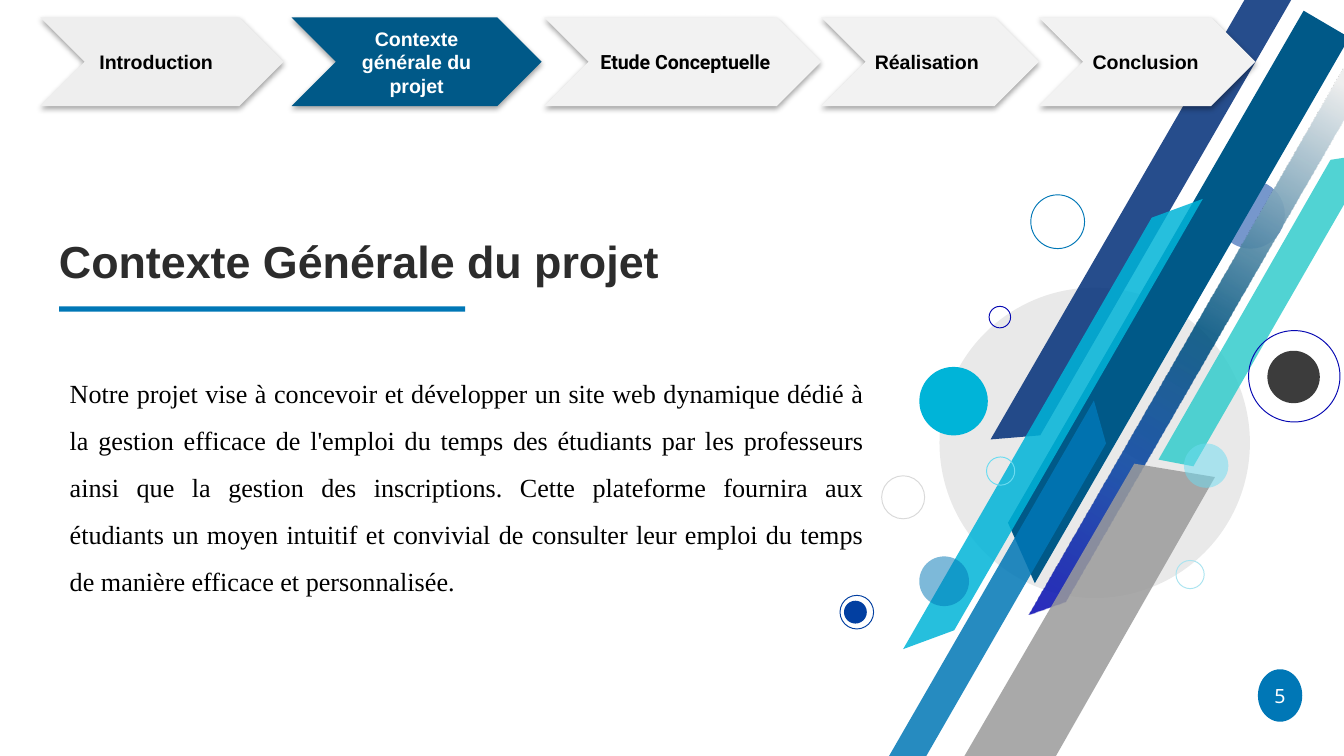
"""Build the project context slide with its chapter bar and slanted bands."""

from dataclasses import dataclass

from lxml.etree import SubElement
from pptx import Presentation
from pptx.dml.color import RGBColor
from pptx.enum.shapes import MSO_SHAPE
from pptx.enum.text import MSO_ANCHOR, PP_ALIGN
from pptx.oxml.ns import qn
from pptx.shapes.autoshape import Shape
from pptx.slide import Slide
from pptx.util import Pt

PX = 9144
WIDE = 1000 * PX
NAVY = RGBColor(0x02, 0x3F, 0xA1)
INK = RGBColor(0x06, 0x08, 0xB2)
DEEP = RGBColor(0x00, 0x59, 0x88)
BLUE = RGBColor(0x00, 0x77, 0xB6)
CYAN = RGBColor(0x00, 0xB4, 0xD8)
SKY = RGBColor(0x6C, 0xDC, 0xF1)
PALE = RGBColor(0xAA, 0xE4, 0xF0)
TEAL = RGBColor(0x33, 0xCC, 0xCC)
DUSK = RGBColor(0x01, 0x2F, 0x79)
PETROL = RGBColor(0x00, 0x53, 0x7F)
STONE = RGBColor(0x9B, 0x9B, 0x9B)
SLATE = RGBColor(0x59, 0x59, 0x59)
COAL = RGBColor(0x3C, 0x3C, 0x3C)
TITLE = RGBColor(0x2C, 0x2C, 0x2C)
SILVER = RGBColor(0xD9, 0xD9, 0xD9)
MIST = RGBColor(0xEE, 0xEE, 0xEE)
FOG = RGBColor(0xF2, 0xF2, 0xF2)
BLACK = RGBColor(0, 0, 0)
WHITE = RGBColor(255, 255, 255)

FADE = ((1, INK, 85), (27, NAVY, 85), (52, PETROL, 88), (96, MIST, 97))


@dataclass
class Dot:
    x: int
    y: int
    size: int
    color: RGBColor
    alpha: int = 100
    ring: bool = False


@dataclass
class Band:
    points: tuple[tuple[int, int], ...]
    color: RGBColor | None
    alpha: int = 85


@dataclass
class Step:
    x: int
    width: int
    label: str
    fill: RGBColor = FOG
    ink: RGBColor = BLACK
    align: PP_ALIGN = PP_ALIGN.LEFT
    inset: int = 7


@dataclass
class Style:
    size: float
    font: str
    color: RGBColor
    bold: bool = False
    align: PP_ALIGN = PP_ALIGN.LEFT
    space: float | None = None


ART = (
    Dot(905, 134, 51, NAVY, 54),
    Dot(699, 214, 231, SLATE, 13),
    Band(((1004, 28), (770, 434), (750, 389), (970, 8)), DEEP, 100),
    Band(((765, 457), (999, 51), (1016, 61), (793, 447)), None),
    Band(((1008, -82), (774, 324), (737, 327), (982, -97)), DUSK),
    Band(((1022, 114), (888, 347), (862, 342), (990, 119)), TEAL),
    Band(((904, 355), (774, 583), (715, 567), (844, 345)), STONE),
    Band(((823, 330), (601, 716), (580, 704), (814, 298)), BLUE),
    Dot(767, 145, 40, BLUE, ring=True),
    Dot(736, 228, 16, INK, ring=True),
    Dot(875, 417, 21, PALE, ring=True),
    Dot(684, 273, 51, CYAN),
    Dot(656, 354, 32, SILVER, ring=True),
    Dot(628, 447, 17, NAVY),
    Dot(943, 261, 39, COAL),
    Dot(881, 330, 33, SKY, 51),
    Band(((895, 148), (710, 469), (672, 483), (857, 162)), CYAN),
    Dot(684, 414, 37, BLUE, 51),
    Dot(734, 340, 21, SKY, ring=True),
    Dot(929, 246, 68, INK, ring=True),
    Dot(625, 443, 25, NAVY, ring=True),
)

STEPS = (
    Step(30, 181, "Introduction", MIST, inset=11),
    Step(217, 186, "Contexte générale du projet", DEEP, WHITE, PP_ALIGN.CENTER),
    Step(611, 162, "Réalisation"),
    Step(773, 161, "Conclusion"),
)

BODY = (
    "Notre projet vise à concevoir et développer un site web dynamique dédié à "
    "la gestion efficace de l'emploi du temps des étudiants par les professeurs "
    "ainsi que la gestion des inscriptions. Cette plateforme fournira aux "
    "étudiants un moyen intuitif et convivial de consulter leur emploi du temps "
    "de manière efficace et personnalisée."
)


def paint(shape: Shape, color: RGBColor, alpha: int = 100) -> None:
    shape.shadow.inherit = False
    shape.line.fill.background()
    shape.fill.solid()
    shape.fill.fore_color.rgb = color
    if alpha < 100:
        tint = shape._element.spPr.find(".//" + qn("a:srgbClr"))
        SubElement(tint, qn("a:alpha"), val=str(alpha * 1000))


def blend(shape: Shape) -> None:
    shape.shadow.inherit = False
    shape.line.fill.background()
    shape.fill.gradient()
    shape.fill.gradient_angle = 60
    stops = shape._element.spPr.find(".//" + qn("a:gsLst"))
    for stop in list(stops):
        stops.remove(stop)
    for place, color, alpha in FADE:
        stop = SubElement(stops, qn("a:gs"), pos=str(place * 1000))
        tint = SubElement(stop, qn("a:srgbClr"), val=str(color))
        SubElement(tint, qn("a:alpha"), val=str(alpha * 1000))


def shade(shape: Shape) -> None:
    group = shape._element.spPr.find(qn("a:effectLst"))
    cast = SubElement(group, qn("a:outerShdw"), blurRad=str(Pt(3.1)),
                      dist=str(Pt(1.6)), dir="5400000", algn="t", rotWithShape="0")
    tint = SubElement(cast, qn("a:srgbClr"), val=str(BLACK))
    SubElement(tint, qn("a:alpha"), val="37000")


def add(slide: Slide, kind: MSO_SHAPE, x: int, y: int, w: int, h: int) -> Shape:
    return slide.shapes.add_shape(kind, x * PX, y * PX, w * PX, h * PX)


def write(shape: Shape, text: str, style: Style, wrap: bool = True) -> None:
    frame = shape.text_frame
    frame.word_wrap = wrap
    frame.text = text
    line = frame.paragraphs[0]
    line.alignment = style.align
    line.line_spacing = style.space
    font = line.runs[0].font
    font.size = Pt(style.size)
    font.name = style.font
    font.bold = style.bold
    font.color.rgb = style.color


def pad(shape: Shape, left: int, top: int, right: int, base: int) -> None:
    frame = shape.text_frame
    frame.vertical_anchor = MSO_ANCHOR.MIDDLE
    frame.margin_left, frame.margin_top = left * PX, top * PX
    frame.margin_right, frame.margin_bottom = right * PX, base * PX


def box(slide: Slide, x: int, y: int, w: int, h: int, text: str, style: Style) -> Shape:
    shape = slide.shapes.add_textbox(x * PX, y * PX, w * PX, h * PX)
    write(shape, text, style)
    return shape


def draw_dot(slide: Slide, dot: Dot) -> None:
    shape = add(slide, MSO_SHAPE.OVAL, dot.x, dot.y, dot.size, dot.size)
    paint(shape, dot.color, dot.alpha)
    if dot.ring:
        shape.fill.background()
        shape.line.color.rgb = dot.color
        shape.line.width = Pt(0.5)


def draw_band(slide: Slide, band: Band) -> None:
    path = slide.shapes.build_freeform(*band.points[0], scale=PX)
    path.add_line_segments(band.points[1:], close=True)
    shape = path.convert_to_shape()
    if band.color is None:
        blend(shape)
    else:
        paint(shape, band.color, band.alpha)


def draw_step(slide: Slide, step: Step) -> None:
    shape = add(slide, MSO_SHAPE.CHEVRON, step.x, 13, step.width, 66)
    paint(shape, step.fill)
    shade(shape)
    if step.label:
        pad(shape, step.inset, 7, 7, 7)
        write(shape, step.label, Style(10.5, "Arial", step.ink, True, step.align))


def main() -> None:
    deck = Presentation()
    deck.slide_width, deck.slide_height = WIDE, WIDE * 9 // 16
    slide = deck.slides.add_slide(deck.slide_layouts[6])
    for part in ART:
        if isinstance(part, Dot):
            draw_dot(slide, part)
        else:
            draw_band(slide, part)
    box(slide, 34, 169, 699, 45, "Contexte Générale du projet",
        Style(24, "Arial", TITLE, True))
    paint(add(slide, MSO_SHAPE.RECTANGLE, 44, 228, 302, 4), BLUE)
    box(slide, 42, 264, 611, 194, BODY,
        Style(14, "Times New Roman", BLACK, align=PP_ALIGN.JUSTIFY, space=1.5))
    badge = add(slide, MSO_SHAPE.OVAL, 936, 498, 33, 39)
    paint(badge, BLUE)
    write(badge, "5", Style(10.5, "Noto Sans", WHITE, align=PP_ALIGN.CENTER), False)
    draw_step(slide, Step(405, 206, ""))
    label = box(slide, 435, 13, 147, 66, "Etude Conceptuelle",
                Style(10.5, "Roboto", BLACK, True, PP_ALIGN.CENTER))
    pad(label, 5, 2, 2, 2)
    for step in STEPS:
        draw_step(slide, step)
    deck.save("out.pptx")


if __name__ == "__main__":
    main()
